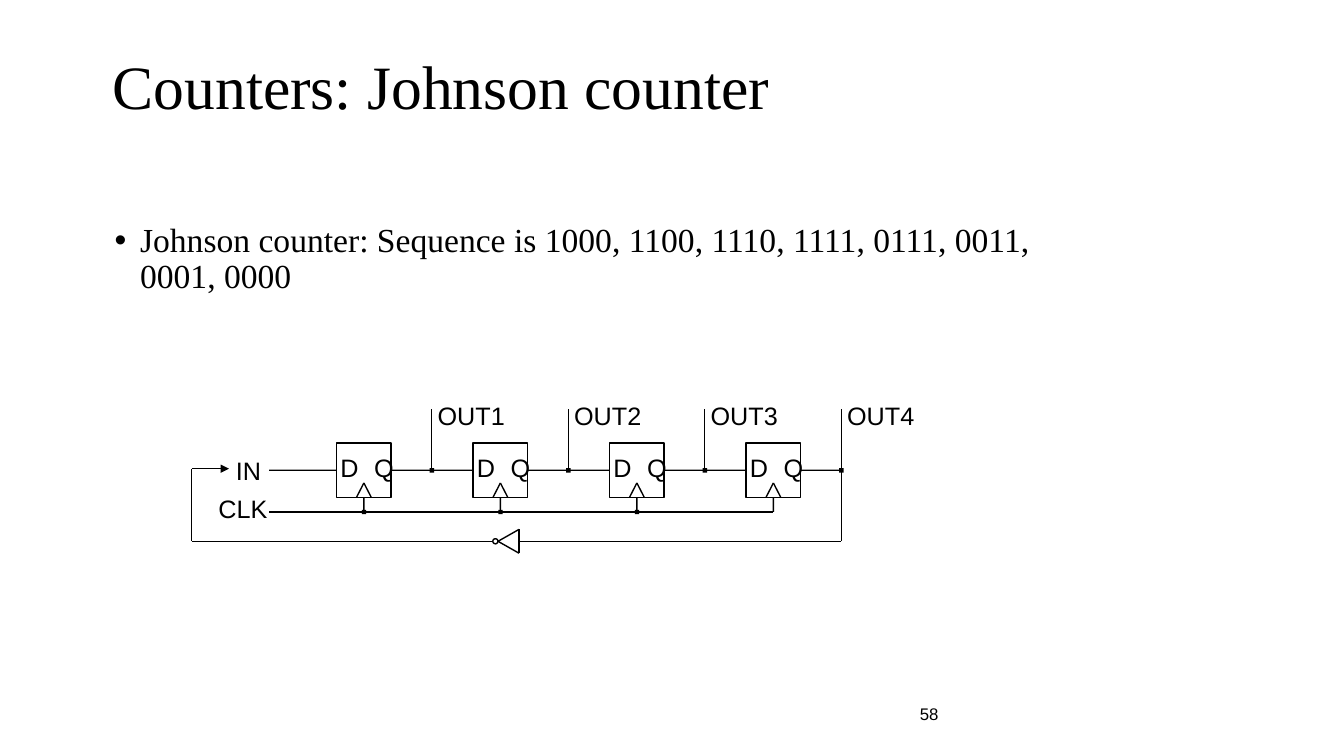
from dataclasses import dataclass

from lxml.etree import SubElement
from pptx import Presentation
from pptx.dml.color import RGBColor
from pptx.enum.shapes import MSO_CONNECTOR, MSO_SHAPE
from pptx.enum.text import MSO_ANCHOR, PP_ALIGN
from pptx.oxml.ns import qn
from pptx.util import Cm, Pt

BLACK = RGBColor(0, 0, 0)
WHITE = RGBColor(255, 255, 255)
SERIF, SANS = "Times New Roman", "Arial"
TOP, LEFT, BOTTOM, RIGHT = range(4)  # connection sites of a rectangle

# Circuit measures in cm
STAGES = 4
FIRST_STAGE, PITCH = 8.48, 3.44
SIDE, STAGE_TOP = 1.38, 11.16
STAGE_BOTTOM = STAGE_TOP + SIDE
DATA_Y = STAGE_TOP + SIDE / 2
CLOCK_Y, FEEDBACK_Y = 12.9, 13.64
INPUT_X, FEEDBACK_X = 6.78, 4.83
TAP_OFFSET, TAP_TOP = 2.4, 10.31
GATE_TIP, GATE_BACK, GATE_HALF = 12.55, 13.08, 0.3
BUBBLE = 0.13

LABEL_FRAME = {
    "word_wrap": False,
    "margin_left": Cm(0.05),
    "margin_right": Cm(0.05),
    "margin_top": Cm(0.08),
    "margin_bottom": Cm(0.08),
}
LABEL_LINES = {"line_spacing": Pt(17)}


@dataclass
class Box:
    left: float
    top: float
    width: float
    height: float

    def lengths(self):
        return [Cm(v) for v in (self.left, self.top, self.width, self.height)]


@dataclass
class Wire:
    x1: float
    y1: float
    x2: float
    y2: float


def apply_format(target, values: dict) -> None:
    for attribute, value in values.items():
        setattr(target, attribute, value)


def add_text(slide, text: str, box: Box, size: int, font: str,
             frame_format: dict, paragraph_format: dict):
    frame = slide.shapes.add_textbox(*box.lengths()).text_frame
    apply_format(frame, frame_format)
    paragraph = frame.paragraphs[0]
    apply_format(paragraph, paragraph_format)
    run = paragraph.add_run()
    run.text = text
    apply_format(run.font, {"size": Pt(size), "name": font})
    run.font.color.rgb = BLACK
    return paragraph


def add_label(slide, text: str, box: Box, align=PP_ALIGN.LEFT) -> None:
    add_text(slide, text, box, 18, SANS, LABEL_FRAME,
             {**LABEL_LINES, "alignment": align})


def add_wire(slide, wire: Wire):
    connector = slide.shapes.add_connector(
        MSO_CONNECTOR.STRAIGHT,
        Cm(wire.x1), Cm(wire.y1), Cm(wire.x2), Cm(wire.y2))
    connector.line.color.rgb = BLACK
    connector.line.width = Pt(1)
    SubElement(connector._element.spPr, qn("a:effectLst"))
    return connector


def add_outline(slide, kind, box: Box, fill: RGBColor | None):
    shape = slide.shapes.add_shape(kind, *box.lengths())
    shape.shadow.inherit = False
    if fill is None:
        shape.fill.background()
    else:
        shape.fill.solid()
        shape.fill.fore_color.rgb = fill
    shape.line.color.rgb = BLACK
    shape.line.width = Pt(1)
    return shape


def add_junction(slide, x: float, y: float) -> None:
    dot = add_outline(slide, MSO_SHAPE.RECTANGLE,
                      Box(x - 0.05, y - 0.05, 0.11, 0.11), BLACK)
    dot.line.fill.background()


def add_flip_flop(slide, left: float):
    body = add_outline(slide, MSO_SHAPE.RECTANGLE,
                       Box(left, STAGE_TOP, SIDE, SIDE), WHITE)
    centre = left + SIDE / 2
    for foot in (centre - 0.19, centre + 0.19):
        add_wire(slide, Wire(foot, STAGE_BOTTOM, centre, 12.17))
    for pin, offset in (("D", 0.05), ("Q", 0.9)):
        add_label(slide, pin, Box(left + offset, 11.48, 0.65, 0.86))
    return body


def add_stages(slide) -> None:
    lefts = [FIRST_STAGE + i * PITCH for i in range(STAGES)]
    bodies = [add_flip_flop(slide, left) for left in lefts]
    data_start, clock_start = INPUT_X, INPUT_X
    for number, (left, body) in enumerate(zip(lefts, bodies), start=1):
        centre, tap = left + SIDE / 2, left + TAP_OFFSET
        # Data in, data out and the output tap
        data_in = add_wire(slide, Wire(data_start, DATA_Y, left, DATA_Y))
        data_in.end_connect(body, LEFT)
        data_out = add_wire(slide, Wire(left + SIDE, DATA_Y, tap, DATA_Y))
        data_out.begin_connect(body, RIGHT)
        add_wire(slide, Wire(tap, TAP_TOP, tap, DATA_Y))
        add_junction(slide, tap, DATA_Y)
        add_label(slide, f"OUT{number}", Box(tap + 0.1, 10.16, 1.9, 0.86))
        # Clock line
        clock_in = add_wire(slide, Wire(centre, STAGE_BOTTOM, centre, CLOCK_Y))
        clock_in.begin_connect(body, BOTTOM)
        add_wire(slide, Wire(clock_start, CLOCK_Y, centre, CLOCK_Y))
        if number < STAGES:
            add_junction(slide, centre, CLOCK_Y)
        data_start, clock_start = tap, centre


def add_feedback(slide) -> None:
    last_tap = FIRST_STAGE + (STAGES - 1) * PITCH + TAP_OFFSET
    gate_top, gate_bottom = FEEDBACK_Y - GATE_HALF, FEEDBACK_Y + GATE_HALF
    bubble_left = GATE_TIP - BUBBLE
    for wire in (
        Wire(last_tap, DATA_Y, last_tap, FEEDBACK_Y),
        Wire(last_tap, FEEDBACK_Y, GATE_BACK, FEEDBACK_Y),
        Wire(GATE_BACK, gate_top, GATE_TIP, FEEDBACK_Y),
        Wire(GATE_BACK, gate_bottom, GATE_TIP, FEEDBACK_Y),
        Wire(GATE_BACK, gate_top, GATE_BACK, gate_bottom),
        Wire(bubble_left, FEEDBACK_Y, FEEDBACK_X, FEEDBACK_Y),
        Wire(FEEDBACK_X, FEEDBACK_Y, FEEDBACK_X, 11.81),
    ):
        add_wire(slide, wire)
    add_outline(slide, MSO_SHAPE.OVAL,
                Box(bubble_left, FEEDBACK_Y - BUBBLE / 2, BUBBLE, BUBBLE), None)
    arrow = add_wire(slide, Wire(FEEDBACK_X, 11.81, 5.77, 11.81))
    SubElement(arrow.line._get_or_add_ln(), qn("a:tailEnd"), type="triangle")


def add_bullet(paragraph) -> None:
    properties = paragraph._p.get_or_add_pPr()
    properties.set("marL", str(Cm(0.64)))
    properties.set("indent", str(-Cm(0.64)))
    SubElement(properties, qn("a:buFont"), typeface=SANS)
    SubElement(properties, qn("a:buChar"), char="•")


def main() -> None:
    presentation = Presentation()
    presentation.slide_width, presentation.slide_height = Cm(33.87), Cm(19.05)
    slide = presentation.slides.add_slide(presentation.slide_layouts[6])

    # Page number, title and sequence
    middle = {"word_wrap": True, "vertical_anchor": MSO_ANCHOR.MIDDLE}
    add_text(slide, "58", Box(18.62, 17.35, 5.28, 1.27), 12, SANS,
             middle, {"alignment": PP_ALIGN.RIGHT})
    add_text(slide, "Counters: Johnson counter", Box(2.59, 0.28, 19.89, 3.94),
             44, SERIF, middle, {"line_spacing": 0.9})
    sequence = add_text(
        slide,
        "Johnson counter: Sequence is 1000, 1100, 1110, 1111, 0111, 0011, "
        "0001, 0000",
        Box(2.64, 5.51, 23.95, 11.43), 24, SERIF,
        {"word_wrap": True}, {"line_spacing": 0.9})
    add_bullet(sequence)

    # Circuit
    add_stages(slide)
    add_label(slide, "IN", Box(5.23, 11.56, 1.4, 0.86), PP_ALIGN.RIGHT)
    add_label(slide, "CLK", Box(5.44, 12.52, 1.35, 0.86), PP_ALIGN.RIGHT)
    add_feedback(slide)

    presentation.save("out.pptx")


if __name__ == "__main__":
    main()
